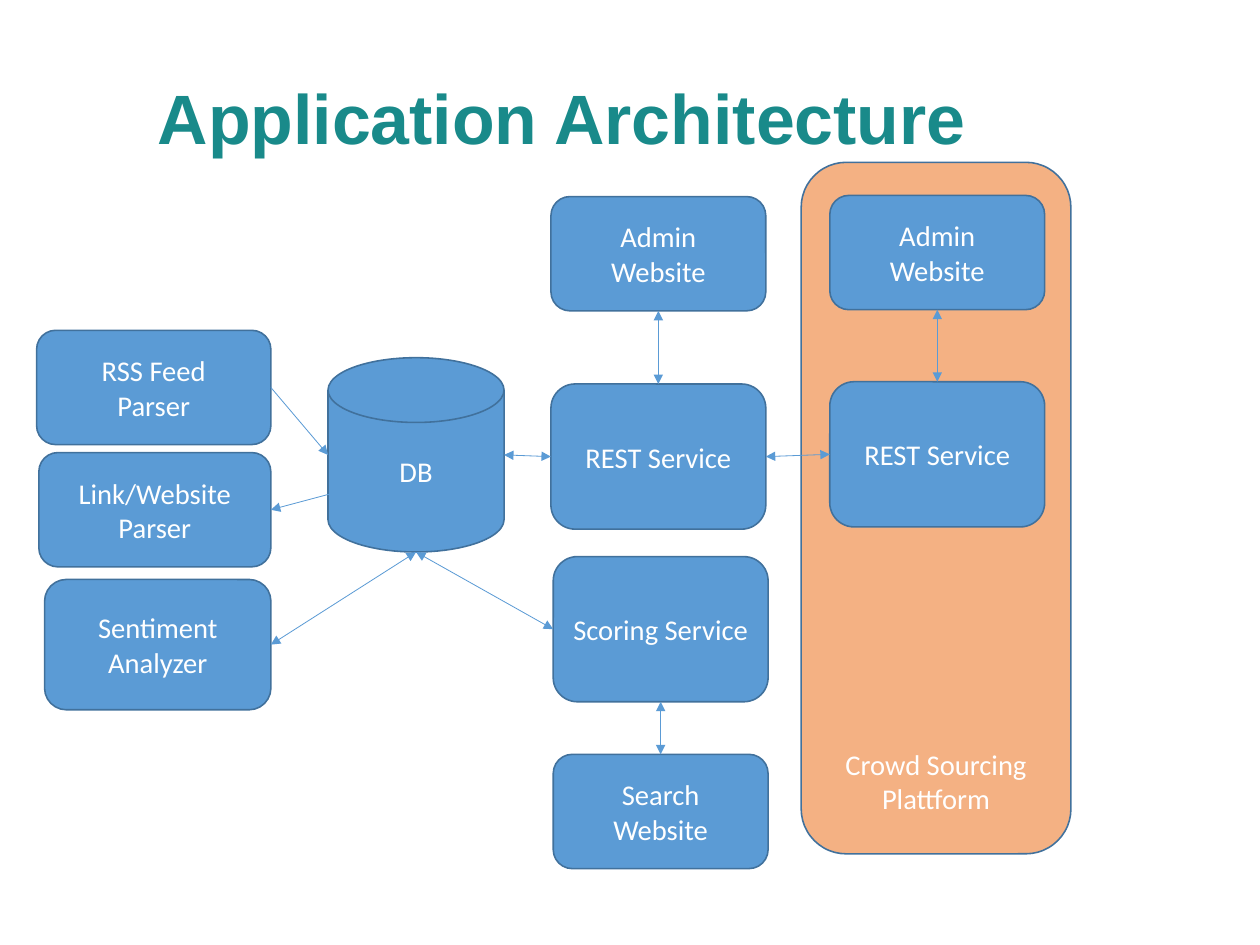
from dataclasses import dataclass

from lxml import etree
from pptx import Presentation
from pptx.dml.color import RGBColor
from pptx.enum.shapes import MSO_CONNECTOR, MSO_SHAPE
from pptx.enum.text import MSO_ANCHOR, PP_ALIGN
from pptx.oxml.ns import qn
from pptx.shapes.autoshape import Shape
from pptx.slide import Slide
from pptx.text.text import TextFrame
from pptx.util import Inches, Pt

ROUND = MSO_SHAPE.ROUNDED_RECTANGLE
DISK = MSO_SHAPE.FLOWCHART_MAGNETIC_DISK
LINE = MSO_CONNECTOR.STRAIGHT
MIDDLE = MSO_ANCHOR.MIDDLE
BOTTOM = MSO_ANCHOR.BOTTOM
CENTER = PP_ALIGN.CENTER
TOP, LEFT, BASE, RIGHT = range(4)

COLORS = {
    "title": "198A8A",
    "blue": "5B9BD5",
    "edge": "41719C",
    "orange": "F4B183",
    "white": "FFFFFF",
}


@dataclass
class Box:
    key: str
    text: str
    x: float
    y: float
    w: float = 1.88
    h: float = 1.0
    fill: str = "blue"


@dataclass
class Wire:
    start: str
    out: int
    stop: str
    into: int
    both: bool = True
    dx: float = 0
    dy: float = 0


BOXES = [
    Box("rss", "RSS Feed\nParser", 0.32, 2.89, 2.05),
    Box("link", "Link/Website\nParser", 0.34, 3.96, 2.03),
    Box("mood", "Sentiment\nAnalyzer", 0.39, 5.07, 1.98, 1.14),
    Box("db", "DB", 2.87, 3.13, 1.54, 1.7),
    Box("rest", "REST Service", 4.82, 3.36, h=1.27),
    Box("admin", "Admin\nWebsite", 4.82, 1.72),
    Box("score", "Scoring Service", 4.84, 4.87, h=1.27),
    Box("search", "Search\nWebsite", 4.84, 6.6),
    Box("crowd", "Crowd Sourcing\nPlattform", 7.01, 1.42, 2.36, 6.05, "orange"),
    Box("crowd rest", "REST Service", 7.26, 3.34, h=1.27),
    Box("crowd admin", "Admin\nWebsite", 7.26, 1.71),
]

WIRES = [
    Wire("rss", RIGHT, "db", LEFT, False),
    Wire("db", LEFT, "link", RIGHT, dx=0.36, dy=0.25),
    Wire("db", BASE, "mood", RIGHT),
    Wire("rest", LEFT, "db", RIGHT),
    Wire("admin", BASE, "rest", TOP),
    Wire("rest", RIGHT, "crowd rest", LEFT),
    Wire("crowd admin", BASE, "crowd rest", TOP),
    Wire("score", LEFT, "db", BASE),
    Wire("score", BASE, "search", TOP),
]


def color(name: str) -> RGBColor:
    return RGBColor.from_string(COLORS[name])


def style(frame: TextFrame, font: str, size: int, ink: str, bold: bool = False) -> None:
    frame.word_wrap = True
    frame.vertical_anchor = MIDDLE
    for para in frame.paragraphs:
        para.alignment = CENTER
        for run in para.runs:
            run.font.name = font
            run.font.size = Pt(size)
            run.font.bold = bold
            run.font.color.rgb = color(ink)


def add_title(slide: Slide) -> None:
    box = slide.shapes.add_textbox(Inches(0.39), Inches(0.33), Inches(9.06), Inches(1.38))
    frame = box.text_frame
    frame.margin_left = frame.margin_right = 0
    frame.margin_top = frame.margin_bottom = 0
    frame.text = "Application Architecture"
    style(frame, "Arial", 44, "title", True)


def add_box(slide: Slide, box: Box) -> Shape:
    kind = DISK if box.key == "db" else ROUND
    shape = slide.shapes.add_shape(
        kind, Inches(box.x), Inches(box.y), Inches(box.w), Inches(box.h)
    )
    shape.shadow.inherit = False
    shape.fill.solid()
    shape.fill.fore_color.rgb = color(box.fill)
    shape.line.color.rgb = color("edge")
    shape.line.width = Pt(1)
    frame = shape.text_frame
    frame.text = box.text
    style(frame, "Calibri", 18, "white")
    if box.key == "crowd":
        frame.vertical_anchor = BOTTOM
        frame.margin_bottom = Inches(0.22)
    return shape


def point(shape: Shape, side: int) -> tuple[int, int]:
    across = {LEFT: 0, RIGHT: shape.width}.get(side, shape.width // 2)
    down = {TOP: 0, BASE: shape.height}.get(side, shape.height // 2)
    return shape.left + across, shape.top + down


def add_wire(slide: Slide, wire: Wire, shapes: dict[str, Shape]) -> None:
    start, stop = shapes[wire.start], shapes[wire.stop]
    x, y = point(start, wire.out)
    line = slide.shapes.add_connector(
        LINE, x + Inches(wire.dx), y + Inches(wire.dy), *point(stop, wire.into)
    )
    if wire.start != "db":
        line.begin_connect(start, wire.out)
    if wire.stop != "db":
        line.end_connect(stop, wire.into)
    line.line.color.rgb = color("blue")
    line.line.width = Pt(0.5)
    props = line.element.spPr
    stroke = props.find(qn("a:ln"))
    for tag in ("a:headEnd", "a:tailEnd") if wire.both else ("a:tailEnd",):
        etree.SubElement(stroke, qn(tag), type="triangle")
    etree.SubElement(props, qn("a:effectLst"))


def main() -> None:
    deck = Presentation()
    deck.slide_width = Inches(28 / 2.54)
    deck.slide_height = Inches(21 / 2.54)
    slide = deck.slides.add_slide(deck.slide_layouts[6])
    add_title(slide)
    shapes = {box.key: add_box(slide, box) for box in BOXES}
    for wire in WIRES:
        add_wire(slide, wire, shapes)
    deck.save("out.pptx")


if __name__ == "__main__":
    main()
